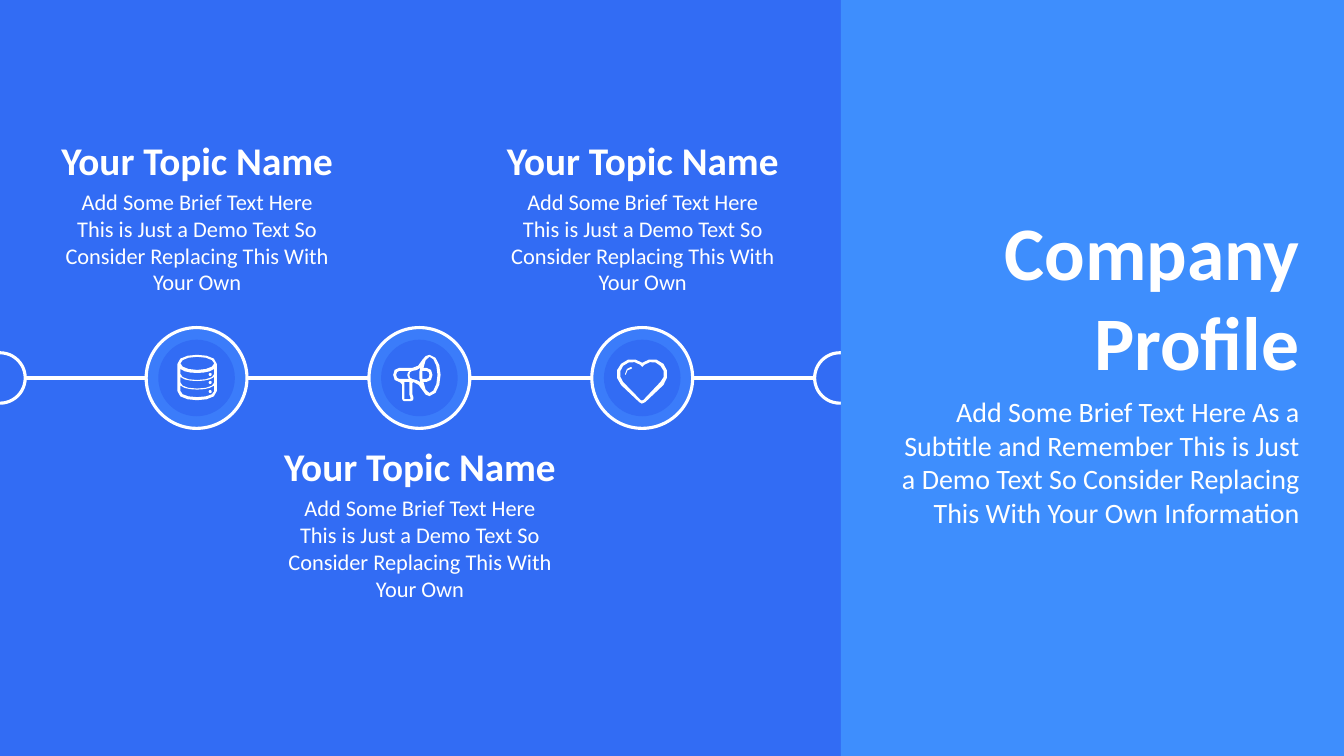
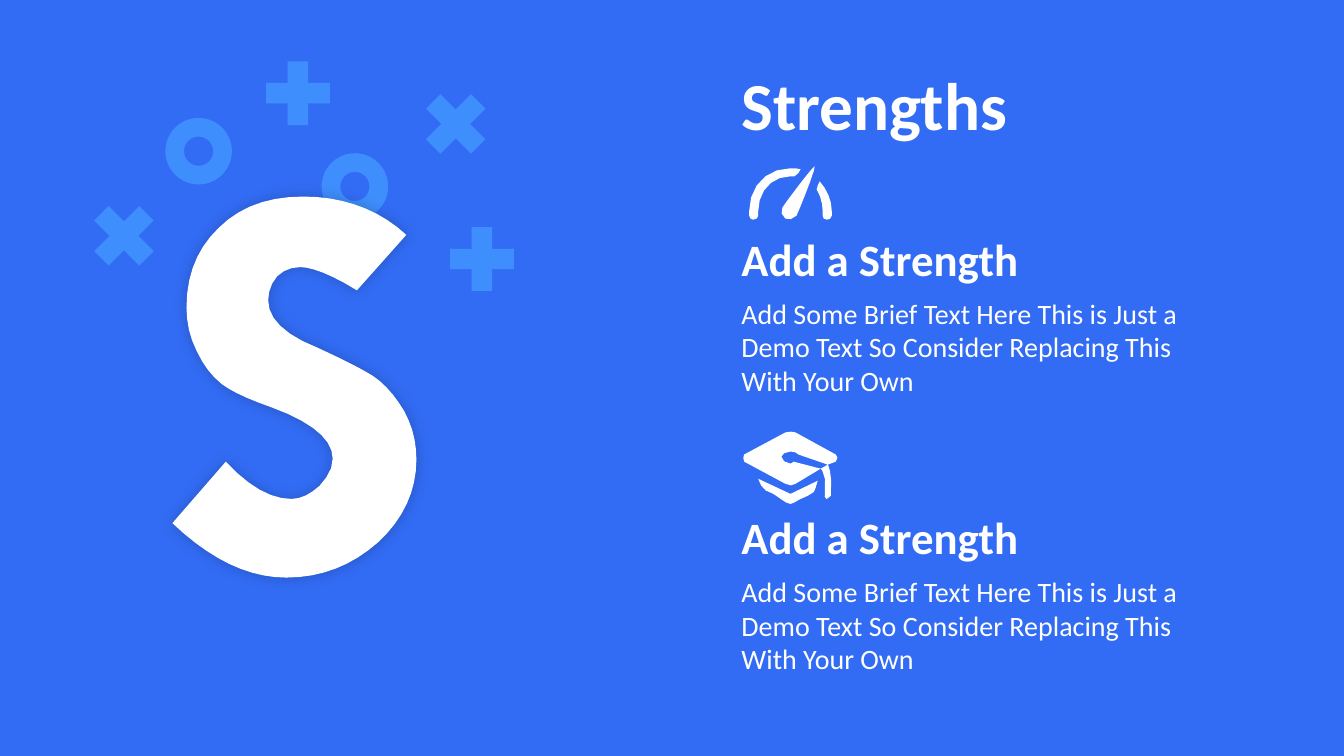
from itertools import pairwise
from math import dist
from lxml.etree import SubElement
from pptx import Presentation
from pptx.dml.color import RGBColor
from pptx.enum.shapes import MSO_CONNECTOR, MSO_SHAPE
from pptx.enum.text import MSO_ANCHOR, MSO_AUTO_SIZE, PP_ALIGN
from pptx.oxml.ns import qn
from pptx.util import Inches, Pt

COLORS = {"base": "326CF4", "ring": "3B7CFA", "accent": "3E8EFD",
          "white": "FFFFFF", "shadow": "000000"}
FONT = "Calibri"
BRIEF = ("Add Some Brief Text Here This is Just a Demo Text "
         "So Consider Replacing This With Your Own")

prs = Presentation()
prs.slide_width, prs.slide_height = Inches(13.33), Inches(7.5)
COLS, ROWS = 1333, 750
CELL = prs.slide_height // ROWS

bg = prs.slide_master.background.fill
bg.solid()
bg.fore_color.rgb = RGBColor.from_string(COLORS["base"])


def draw(s, kind, at, fill, weight=0):
    if kind == "path":
        contours = []
        for start, *steps in at:
            pts = [start]
            for step in steps:
                if len(step) == 2:
                    pts.append(step)
                    continue
                a, b, c, d = pts[-1], step[:2], step[2:4], step[4:]
                count = 2 + int(dist(a, d) / 15)
                for t in [n / count for n in range(1, count + 1)]:
                    u = 1 - t
                    pts.append(tuple(
                        u**3 * a[i] + 3 * u * u * t * b[i]
                        + 3 * u * t * t * c[i] + t**3 * d[i] for i in (0, 1)))
            contours.append([(x * CELL, y * CELL) for x, y in pts])
        fb = s.shapes.build_freeform(*contours[0][0])
        for i, pts in enumerate(contours):
            if i:
                fb.move_to(*pts[0])
            fb.add_line_segments(pts[1:])
        sp = fb.convert_to_shape()
    else:
        sp = s.shapes.add_shape(kind, *[round(v * CELL) for v in at])
    sp.shadow.inherit = False
    sp.fill.solid()
    sp.fill.fore_color.rgb = RGBColor.from_string(COLORS[fill])
    if weight:
        sp.line.color.rgb = RGBColor.from_string(COLORS["white"])
        sp.line.width = Pt(weight)
    else:
        sp.line.fill.background()
    return sp


def write(sp, at, text, size, bold=False, align=PP_ALIGN.LEFT):
    sp.left, sp.top, sp.width, sp.height = [round(v * CELL) for v in at]
    tf = sp.text_frame
    tf.word_wrap = True
    tf.auto_size = MSO_AUTO_SIZE.NONE
    tf.vertical_anchor = MSO_ANCHOR.TOP
    p = tf.paragraphs[0]
    p.alignment = align
    p.space_before = Pt(0)
    r = p.add_run()
    r.text = text
    r.font.name, r.font.size, r.font.bold = FONT, Pt(size), bold
    r.font.color.rgb = RGBColor.from_string(COLORS["white"])
    return p


s = prs.slides.add_slide(prs.slide_layouts[1])
MID = ROWS / 2
PANEL = 834
STEP = 221
TOPICS = [416 + STEP * n for n in (-1, 0, 1)]
stops = [(0, 25), *[(x, 50) for x in TOPICS], (833, 25)]

for (x1, r1), (x2, r2) in pairwise(stops):
    c = s.shapes.add_connector(
        MSO_CONNECTOR.STRAIGHT, *[round(v * CELL) for v in (x1 + r1, MID, x2 - r2, MID)])
    c.line.color.rgb = RGBColor.from_string(COLORS["white"])
    c.line.width = Pt(2.25)
    SubElement(c.element.spPr, qn("a:effectLst"))

for x, rad in stops:
    big = rad == 50
    draw(s, MSO_SHAPE.OVAL, (x - rad, MID - rad, 2 * rad, 2 * rad),
         "ring" if big else "base", 2.25)
    if big:
        draw(s, MSO_SHAPE.OVAL, (x - 38, MID - 38, 76, 76), "base")

panel = draw(s, MSO_SHAPE.RECTANGLE, (PANEL, 0, COLS - PANEL, ROWS), "accent")
title, body = s.placeholders
write(title, (928, 198, 371, 192), "Company Profile", 54, True, PP_ALIGN.RIGHT)
p = write(body, (880, 386.5, 419, 145),
          "Add Some Brief Text Here As a Subtitle and Remember This is Just a "
          "Demo Text So Consider Replacing This With Your Own Information",
          20, align=PP_ALIGN.RIGHT)
pPr = p._p.get_or_add_pPr()
pPr.set("marL", "0")
pPr.set("indent", "0")
SubElement(pPr, qn("a:buNone"))
panel.element.addnext(body.element)
panel.element.addnext(title.element)

for x, y in zip(TOPICS, (130, 434, 130)):
    write(s.shapes.add_textbox(0, 0, 0, 0), (x - 201, y, 403, 57),
          "Your Topic Name", 28, True, PP_ALIGN.CENTER)
    write(s.shapes.add_textbox(0, 0, 0, 0), (x - 144, y + 51.5, 289, 118),
          BRIEF, 16, align=PP_ALIGN.CENTER)

megaphone = [
    [(426, 390), (423, 390, 421, 385, 420, 379), (423, 379), (427, 379, 429, 376, 429, 372),
     (429, 368, 427, 365, 423, 365), (420, 365), (421, 359, 423, 354, 426, 354),
     (430, 354, 434, 362, 434, 372), (434, 382, 430, 390, 426, 390)],
    [(409, 376), (407, 376, 406, 374, 406, 372), (406, 370, 407, 368, 409, 368),
     (412, 368, 414, 367, 417, 365), (416, 367, 416, 370, 416, 372),
     (416, 375, 416, 377, 417, 379), (414, 378, 412, 376, 409, 376)],
    [(407, 396), (401, 396), (401, 382), (401, 379), (406, 379), (406, 391),
     (406, 393, 407, 393, 407, 394), (407, 396)],
    [(393, 372), (393, 370, 394, 368, 396, 368), (406, 368),
     (405, 369, 404, 370, 404, 372), (404, 374, 405, 375, 406, 376), (396, 376),
     (394, 376, 393, 374, 393, 372)],
    [(419, 372), (419, 368), (423, 368), (425, 368, 426, 370, 426, 372),
     (426, 374, 425, 376, 423, 376), (419, 376), (419, 372)],
    [(426, 352), (423, 352, 421, 354, 419, 357), (417, 362, 413, 365, 409, 365),
     (396, 365), (392, 365, 390, 368, 390, 372), (390, 376, 392, 379, 396, 379),
     (397, 379, 399, 381, 399, 382), (399, 396), (399, 397, 400, 398, 401, 398),
     (407, 398), (409, 398, 410, 397, 410, 396), (410, 394),
     (410, 393, 409, 392, 409, 391), (409, 380), (410, 379),
     (414, 380, 417, 383, 419, 387), (421, 391, 423, 393, 426, 393),
     (433, 393, 437, 382, 437, 372), (437, 362, 433, 352, 426, 352)]]
database = [
    [(195.5, 352), (186, 352, 176, 354.5, 176, 361), (176, 388),
     (176, 394.5, 186, 397, 195.5, 397), (205, 397, 215, 394.5, 215, 388),
     (215, 361), (215, 354.5, 205, 352, 195.5, 352)],
    [(195.5, 367), (186, 367, 179, 364, 179, 360.5), (179, 357, 186, 354, 195.5, 354),
     (205, 354, 212.5, 357, 212.5, 360.5), (212.5, 364, 205, 367, 195.5, 367)],
    *[[(179, t), (182, t + 3, 189, t + 4, 195.5, t + 4),
       (202, t + 4, 209, t + 3, 212.5, t), (212.5, b),
       (212.5, b + 3.5, 205, b + 6, 195.5, b + 6),
       (186, b + 6, 179, b + 3.5, 179, b), (179, t)]
      for t, b in ((366, 371), (374, 379.5), (382.5, 388))]]
heart = [
    [(655, 379), (638, 397), (637, 397.5, 636, 397.5, 635.5, 397), (618, 379),
     (614, 375, 614, 367, 618, 363), (623, 358, 630, 358, 635, 362), (637, 364),
     (639, 362), (644, 358, 651, 358, 655, 363), (660, 367, 660, 375, 655, 379)],
    [(658, 361), (652, 355, 643, 355, 637, 360), (631, 355, 622, 355, 616, 361),
     (610, 366, 610, 376, 616, 382), (634, 399), (635, 401, 638, 401, 640, 399),
     (658, 382), (663, 376, 663, 366, 658, 361)]]
glint = [[(626, 364), (623, 364, 620, 367, 620, 371), (620.5, 372), (621, 371),
          (621, 368, 623, 366, 626, 366), (627, 365), (626, 364)]]
for icon in (megaphone, database, heart, glint):
    draw(s, "path", icon, "white")
for y in (387, 378, 370):
    draw(s, MSO_SHAPE.OVAL, (207, y, 3, 3), "white")

s = prs.slides.add_slide(prs.slide_layouts[5])
LEFT = 725.5
write(s.shapes.title, (LEFT, 58, 456, 91), "Strengths", 48, True)

for x, y, turn in ((80, 191, 0), (252.5, 49.5, 45), (435, 214, 45), (409, 80, 0)):
    draw(s, MSO_SHAPE.MATH_MULTIPLY, (x, y, 86, 86), "accent").rotation = turn
for x, y in ((164, 117), (319, 152)):
    draw(s, MSO_SHAPE.DONUT, (x, y, 66, 66), "accent").adjustments[0] = 0.28

gauge = [
    [(776, 206), (774, 210, 775, 214, 779, 217), (782, 218, 787, 218, 790, 214),
     (793, 208, 810, 165, 808, 165), (807, 164, 779, 201, 776, 206)],
    [(784, 175), (788, 175), (791, 173, 793, 171, 794, 168),
     (791, 167, 788, 167, 784, 167), (760, 167, 743, 185, 743, 210),
     (743, 214), (743, 217, 746, 218, 747, 218), (750, 218, 752, 216, 752, 214),
     (752, 210), (752, 190, 765, 175, 784, 175)],
    [(813, 180), (811, 183, 811, 185, 810, 188), (814, 194, 816, 203, 816, 210),
     (816, 214), (816, 216, 817, 218, 820, 218), (822, 218, 825, 217, 825, 214),
     (825, 210), (825, 198, 820, 188, 813, 180)]]
cap = [
    [(752, 475), (755, 483, 757, 487, 767, 490), (775, 495, 780, 500, 784, 500),
     (787, 500, 792, 495, 801, 492), (811, 487, 807, 487, 811, 477), (784, 490),
     (752, 475)],
    [(829, 451), (789, 429), (787, 428, 782, 428, 779, 429), (738, 451),
     (737, 453, 737, 455, 738, 458), (779, 480), (782, 482, 787, 482, 789, 480),
     (814, 465), (787, 458), (786, 458, 786, 460, 784, 460),
     (779, 460, 775, 456, 775, 453), (775, 451, 779, 448, 784, 448),
     (787, 448, 791, 449, 792, 451), (821, 461), (829, 458),
     (831, 455, 831, 453, 829, 451)],
    [(818, 493), (816, 495, 823, 497, 824, 492), (826, 468, 821, 461, 821, 461),
     (814, 465), (814, 465, 821, 470, 818, 493)]]
for icon, y in ((gauge, 225), (cap, 501)):
    draw(s, "path", icon, "white")
    write(s.shapes.add_textbox(0, 0, 0, 0), (LEFT, y, 426, 64), "Add a Strength", 32, True)
    write(s.shapes.add_textbox(0, 0, 0, 0), (LEFT, y + 64, 479, 111), BRIEF, 20)

for corner in ((0, 582, 607, 168), (1152, 0, 181, 168)):
    draw(s, MSO_SHAPE.RECTANGLE, corner, "base")

letter = draw(s, "path", [[
    (301, 195), (341, 195, 376, 208, 403, 233), (354, 288),
    (328, 272, 309, 265, 298, 265), (289, 265, 281, 268, 275, 274),
    (269, 281, 266, 289, 266, 298), (266, 316, 282, 332, 315, 345),
    (339, 356, 357, 365, 370, 373), (382, 381, 392, 393, 401, 408),
    (409, 423, 413, 438, 413, 456), (413, 487, 400, 515, 375, 538),
    (349, 561, 319, 573, 284, 573), (246, 573, 209, 555, 171, 519), (224, 458),
    (247, 483, 269, 495, 289, 495), (299, 495, 308, 490, 317, 482),
    (325, 473, 330, 465, 330, 455), (330, 436, 310, 419, 269, 404),
    (246, 396, 229, 388, 220, 381), (210, 373, 202, 363, 195, 348),
    (188, 334, 185, 320, 185, 305), (185, 272, 196, 246, 217, 226),
    (238, 205, 266, 195, 301, 195)]], "white")
shadow = SubElement(letter.element.spPr.find(qn("a:effectLst")), qn("a:outerShdw"),
                    blurRad=str(Pt(10)), dist="0", dir="0", algn="ctr", rotWithShape="0")
clr = SubElement(shadow, qn("a:srgbClr"), val=COLORS["shadow"])
SubElement(clr, qn("a:alpha"), val="20000")

prs.save("out.pptx")
